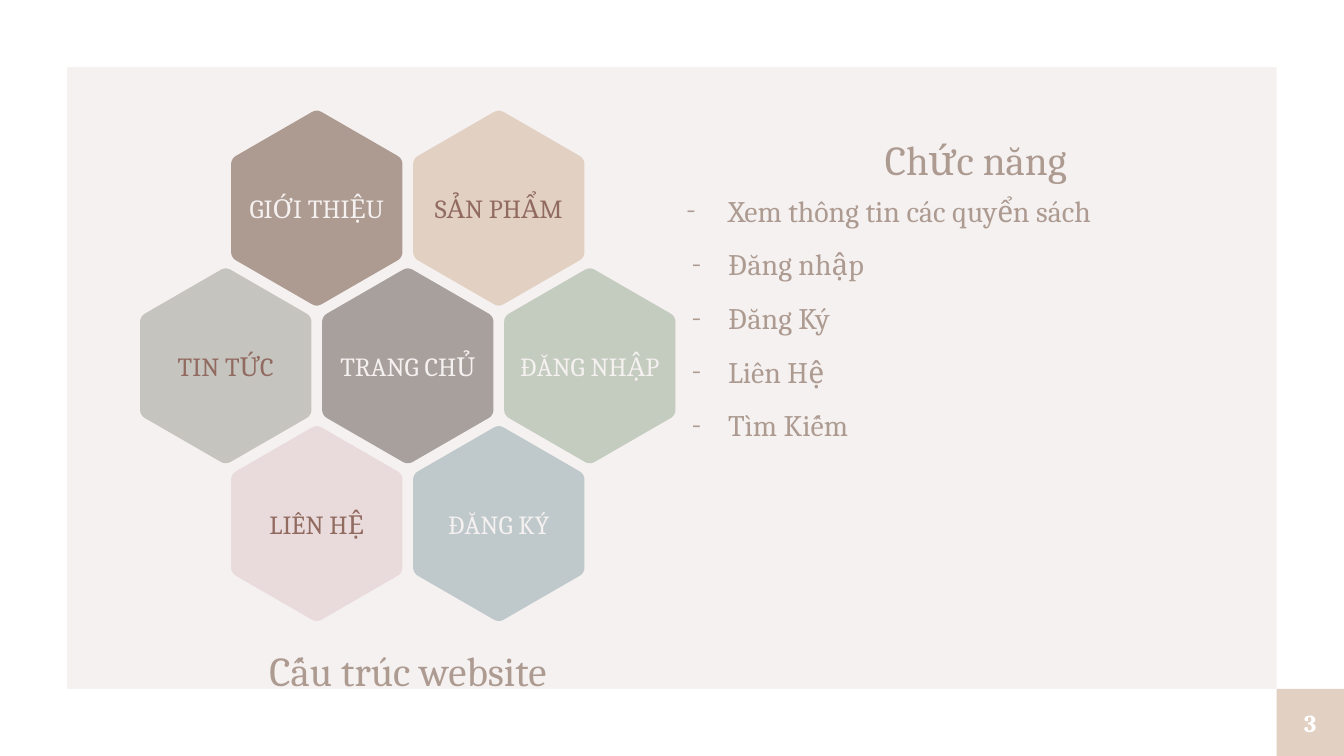
import math

from lxml import etree
from pptx import Presentation
from pptx.dml.color import RGBColor
from pptx.enum import shapes, text
from pptx.oxml.ns import qn
from pptx.util import Pt

FONT = "Cambria"
WHITE = RGBColor(0xFF, 0xFF, 0xFF)
PALE = RGBColor(0xF5, 0xF1, 0xF0)
TAUPE = RGBColor(0xAD, 0x9B, 0x91)
BROWN = RGBColor(0x91, 0x6A, 0x60)
SAND = RGBColor(0xE2, 0xD1, 0xC2)
STONE = RGBColor(0xC5, 0xC4, 0xBF)
GREY = RGBColor(0xA8, 0xA0, 0x9D)
SAGE = RGBColor(0xC4, 0xCB, 0xBF)
ROSE = RGBColor(0xE9, 0xDB, 0xDB)
BLUE = RGBColor(0xBF, 0xC8, 0xCB)

STRUCTURE_TITLE = "Cấu trúc website"
FEATURES_TITLE = "Chức năng"
PAGE_NUMBER = "3"
HONEYCOMB = [  # rows of (label, fill, text colour)
    [("GIỚI THIỆU", TAUPE, PALE), ("SẢN PHẨM", SAND, BROWN)],
    [("TIN TỨC", STONE, BROWN), ("TRANG CHỦ", GREY, PALE), ("ĐĂNG NHẬP", SAGE, PALE)],
    [("LIÊN HỆ", ROSE, BROWN), ("ĐĂNG KÝ", BLUE, PALE)],
]
FEATURES = [  # (text, hanging indent)
    ("Xem thông tin các quyển sách", 22.5),
    ("Đăng nhập", 19.5),
    ("Đăng Ký", 19.5),
    ("Liên Hệ", 19.5),
    ("Tìm Kiếm", 19.5),
]

WIDTH, HEIGHT = 720, 405
MARGIN = 36
CENTRE_X, CENTRE_Y = 218.5, 196
PITCH_X, PITCH_Y = 97.5, 84.5
RADIUS, CORNER = 53, 3.2
TEXT_INDENT = 22.5


def paint(shape, color):
    shape.shadow.inherit = False
    shape.fill.solid()
    shape.fill.fore_color.rgb = color
    shape.line.fill.background()


def write(shape, lines, size, color, align=text.PP_ALIGN.CENTER, anchor=text.MSO_ANCHOR.MIDDLE,
          spacing=1.0, bold=False, insets=(0, 0)):
    """Fill the shape with one paragraph per line and return the paragraphs."""
    frame = shape.text_frame
    frame.word_wrap = True
    frame.vertical_anchor = anchor
    frame.margin_left = frame.margin_right = Pt(insets[0])
    frame.margin_top = frame.margin_bottom = Pt(insets[1])
    frame.text = "\n".join(lines)
    for paragraph in frame.paragraphs:
        paragraph.alignment = align
        paragraph.line_spacing = spacing
        font = paragraph.runs[0].font
        font.name, font.size, font.bold = FONT, Pt(size), bold
        font.color.rgb = color
    return frame.paragraphs


def add_text(slide, box, lines, size, **options):
    shape = slide.shapes.add_textbox(*map(Pt, box))
    return write(shape, lines, size, TAUPE, anchor=text.MSO_ANCHOR.TOP, spacing=1.5, **options)


def add_dash(paragraph, hanging):
    properties = paragraph._p.get_or_add_pPr()
    properties.set("marL", str(Pt(TEXT_INDENT)))
    properties.set("indent", str(-Pt(hanging)))
    color = etree.SubElement(properties, qn("a:buClr"))
    etree.SubElement(color, qn("a:srgbClr"), val=str(TAUPE))
    etree.SubElement(properties, qn("a:buFont"), typeface=FONT)
    etree.SubElement(properties, qn("a:buChar"), char="-")


def rounded_hexagon(x, y):
    """Points of a pointed-top hexagon whose corners are quadratic curves."""
    corners = [(x + RADIUS * math.sin(k * math.pi / 3), y - RADIUS * math.cos(k * math.pi / 3))
               for k in range(6)]
    share = CORNER / RADIUS
    points = []
    for k, corner in enumerate(corners):
        start, end = ([c + share * (n - c) for c, n in zip(corner, corners[neighbour])]
                      for neighbour in (k - 1, (k + 1) % 6))
        for t in (0, 0.2, 0.4, 0.6, 0.8, 1):
            points.append(tuple(Pt((1 - t) ** 2 * s + 2 * t * (1 - t) * c + t ** 2 * e)
                                for s, c, e in zip(start, corner, end)))
    return points


def add_hexagon(slide, x, y, label, fill, color):
    points = rounded_hexagon(x, y)
    builder = slide.shapes.build_freeform(*points[0])
    builder.add_line_segments(points[1:], close=True)
    shape = builder.convert_to_shape()
    paint(shape, fill)
    write(shape, [label], 14, color, insets=(5, 3))


def main():
    presentation = Presentation()
    presentation.slide_width, presentation.slide_height = Pt(WIDTH), Pt(HEIGHT)
    slide = presentation.slides.add_slide(presentation.slide_layouts[6])
    slide.background.fill.solid()
    slide.background.fill.fore_color.rgb = PALE

    border = slide.shapes.add_shape(shapes.MSO_SHAPE.FRAME, 0, 0, Pt(WIDTH), Pt(HEIGHT))
    border.adjustments[0] = MARGIN / HEIGHT
    paint(border, WHITE)
    page = slide.shapes.add_shape(shapes.MSO_SHAPE.RECTANGLE, Pt(WIDTH - MARGIN),
                                  Pt(HEIGHT - MARGIN), Pt(MARGIN), Pt(MARGIN))
    paint(page, SAND)
    write(page, [PAGE_NUMBER], 13, WHITE, bold=True)

    for row, cells in enumerate(HONEYCOMB):
        y = CENTRE_Y + (row - (len(HONEYCOMB) - 1) / 2) * PITCH_Y
        for column, cell in enumerate(cells):
            x = CENTRE_X + (column - (len(cells) - 1) / 2) * PITCH_X
            add_hexagon(slide, x, y, *cell)

    add_text(slide, (124, 332.5, 189, 41), [STRUCTURE_TITLE], 22)
    add_text(slide, (361.5, 59, 322.5, 36), [FEATURES_TITLE], 22)
    paragraphs = add_text(slide, (367.5, 93.5, 316.5, 268), [line for line, _ in FEATURES], 16,
                          align=text.PP_ALIGN.LEFT)
    for paragraph, (_, hanging) in zip(paragraphs, FEATURES):
        add_dash(paragraph, hanging)

    presentation.save("out.pptx")


if __name__ == "__main__":
    main()
